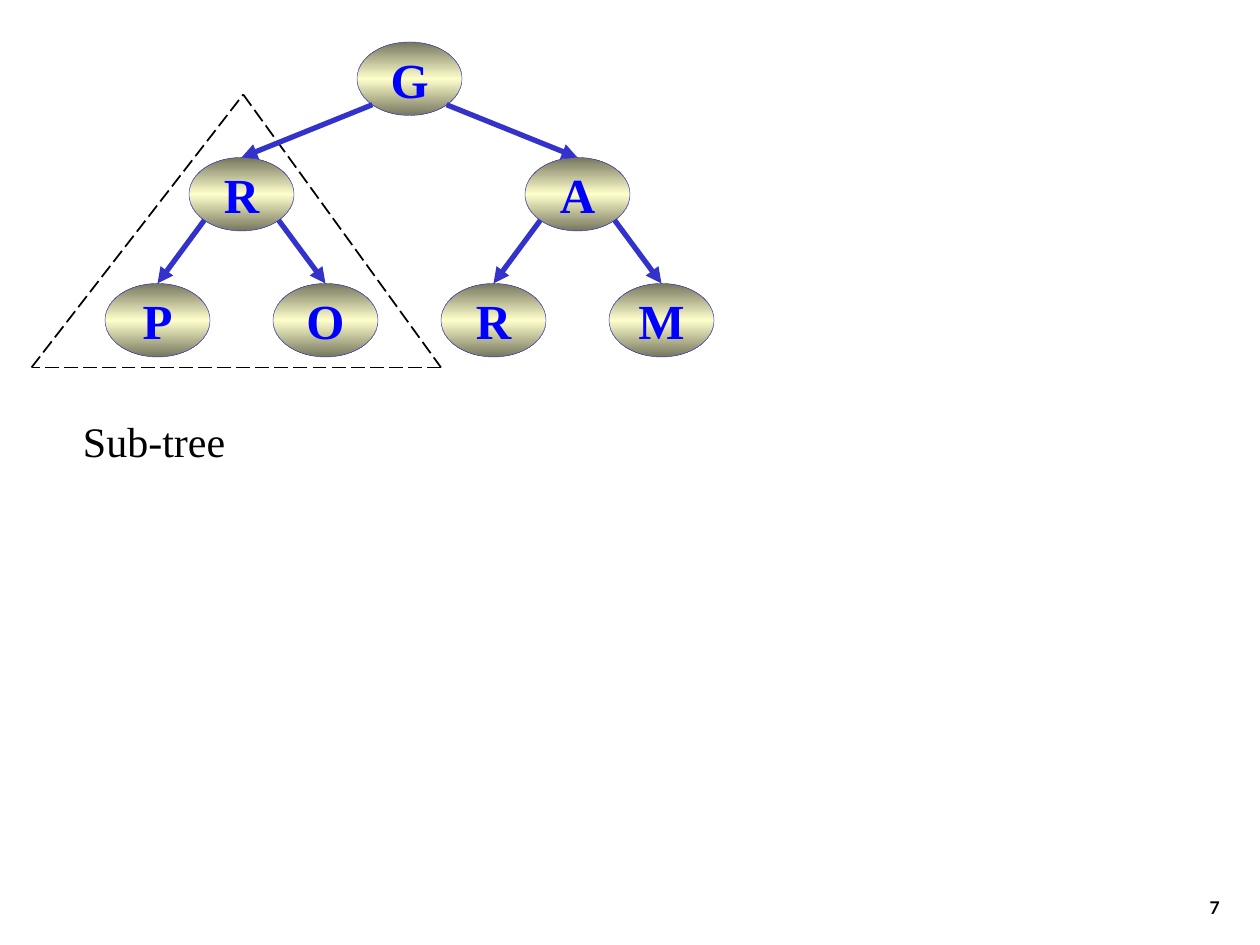
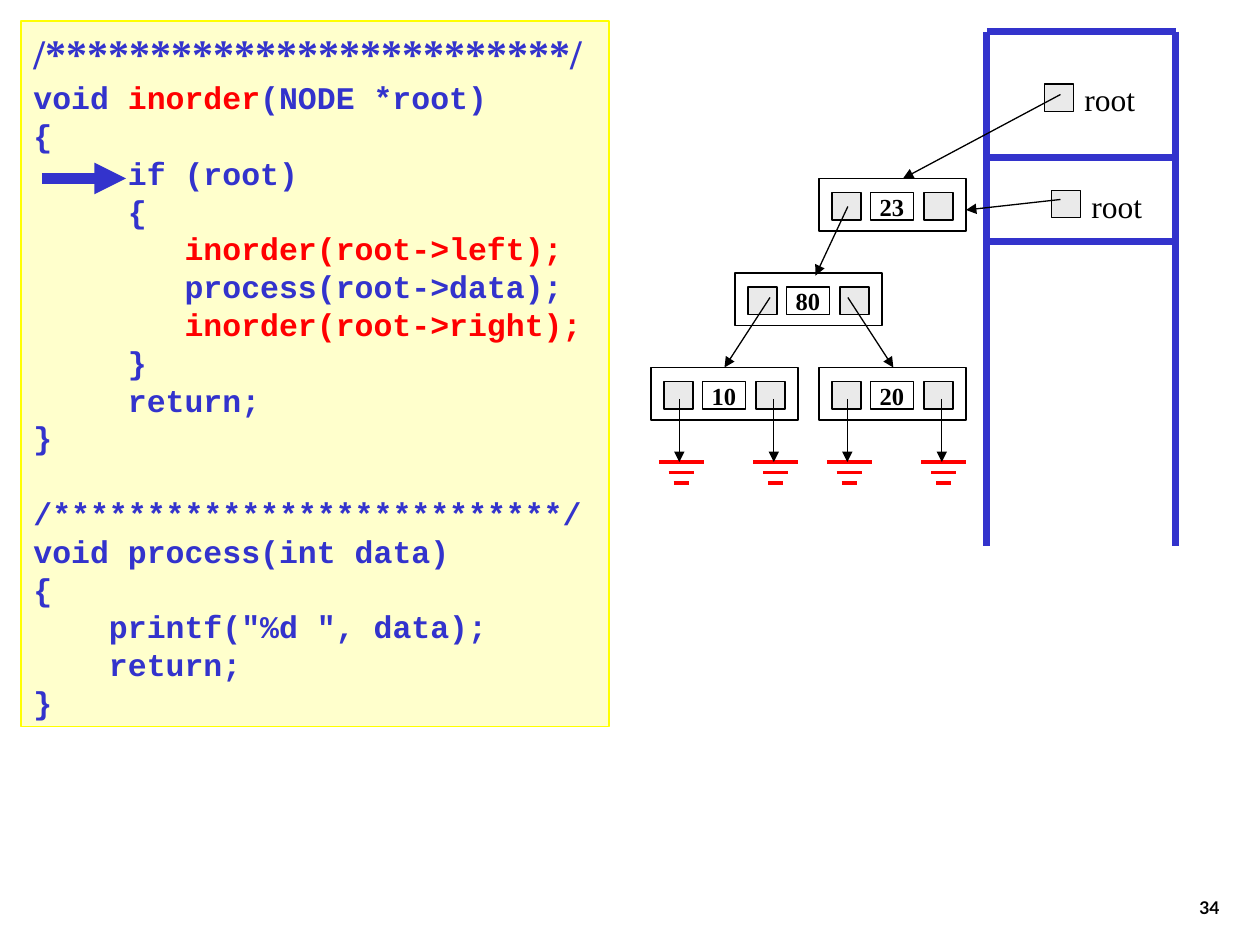
"""Builds two slides on binary trees: a sub-tree and an inorder traversal."""
from copy import deepcopy
from math import sqrt

from lxml.etree import SubElement
from pptx import Presentation
from pptx.dml.color import RGBColor
from pptx.enum.dml import MSO_LINE
from pptx.enum.shapes import MSO_CONNECTOR, MSO_SHAPE
from pptx.enum.text import MSO_ANCHOR, PP_ALIGN
from pptx.oxml.ns import qn
from pptx.util import Pt

COLORS = {
    "black": "000000", "white": "FFFFFF", "gray": "EAEAEA", "red": "FF0000",
    "blue": "3333CC", "letter": "0000FF", "cream": "FFFFCC",
    "olive": "76765E", "yellow": "FFFF00",
}
SERIF, MONO, SANS = "Times New Roman", "Courier New", "Lato"

OVAL_W, OVAL_H = 60, 42
LETTERS = [
    ("G", 234, 45), ("R", 138, 111), ("O", 186, 183), ("P", 90, 183),
    ("A", 330, 111), ("M", 378, 183), ("R", 282, 183),
]
BRANCHES = [(0, 1), (0, 4), (1, 3), (1, 2), (4, 6), (4, 5)]
SUBTREE = [(18, 210), (139, 54), (252, 210)]

BANNER = "/*************************/"
CODE = [
    [("void ", "blue"), ("inorder", "red"), ("(NODE *root)", "blue")],
    [("{", "blue")],
    [("     if (root)", "blue")],
    [("     {", "blue")],
    [("        ", "blue"), ("inorder(root->left);", "red")],
    [("        process(root->data);", "blue")],
    [("        ", "blue"), ("inorder(root->right);", "red")],
    [("     }", "blue")],
    [("     return;", "blue")],
    [("}", "blue")],
    [("/***************************/", "blue")],
    [("void process(int data)", "blue")],
    [("{", "blue")],
    [('    printf("%d ", data);', "blue")],
    [("    return;", "blue")],
    [("}", "blue")],
]
PROCESS_START = 10
BANNER_PITCH, CODE_PITCH = 29.2, 21.6

STACK_LEFT, STACK_RIGHT, STACK_TOP, STACK_BOTTOM = 564, 672, 18, 312
STACK_FLOORS = [STACK_TOP, 90, 138]
ROOTS = [(597, 48), (601, 108.7)]
RECORDS = [("10", 372, 210), ("80", 420, 156), ("23", 468, 102), ("20", 468, 210)]
RECORD_W, RECORD_H = 84, 30
CELL_W, CELL_H, CELL_TOP = 16.6, 15.8, 8
LINKS = [
    ((606, 54), (516, 102)), ((606, 114), (552, 120)),
    ((484.5, 118), (466, 157.5)),
    ((440, 170), (414, 210)), ((484.5, 170), (510.5, 210)),
]
NULL_OFFSETS = [16.2, 70.2]
GROUND_BARS = [(264, 25.6), (270, 14.4), (276, 8.6)]


def color(name):
    return RGBColor.from_string(COLORS[name])


def add_span(para, text, size, font, ink, bold=False):
    span = para.add_run()
    span.text = text
    span.font.size = Pt(size)
    span.font.name = font
    span.font.bold = bold
    span.font.color.rgb = color(ink)


def add_label(page, text, left, top, width, height, size, font, bold=False):
    box = page.shapes.add_textbox(Pt(left), Pt(top), Pt(width), Pt(height))
    add_span(box.text_frame.paragraphs[0], text, size, font, "black", bold)
    return box


def add_page_number(page, number):
    box = add_label(page, number, 554, 492, 150, 36, 10, SANS, True)
    box.text_frame.word_wrap = True
    box.text_frame.vertical_anchor = MSO_ANCHOR.BOTTOM
    box.text_frame.paragraphs[0].alignment = PP_ALIGN.RIGHT


def add_block(page, left, top, width, height, fill, outline="black",
              weight=0.75, kind=MSO_SHAPE.RECTANGLE):
    block = page.shapes.add_shape(kind, Pt(left), Pt(top), Pt(width), Pt(height))
    block.shadow.inherit = False
    block.fill.solid()
    block.fill.fore_color.rgb = color(fill)
    block.line.color.rgb = color(outline)
    block.line.width = Pt(weight)
    return block


def add_centered(block, text, size, ink):
    frame = block.text_frame
    frame.word_wrap = False
    frame.vertical_anchor = MSO_ANCHOR.MIDDLE
    frame.paragraphs[0].alignment = PP_ALIGN.CENTER
    add_span(frame.paragraphs[0], text, size, SERIF, ink, True)


def add_line(page, start, end, ink, weight, arrow=False, dashed=False):
    line = page.shapes.add_connector(
        MSO_CONNECTOR.STRAIGHT, *(Pt(value) for value in (*start, *end)))
    line.line.color.rgb = color(ink)
    line.line.width = Pt(weight)
    if dashed:
        line.line.dash_style = MSO_LINE.LONG_DASH
    properties = line.element.spPr
    if arrow:
        SubElement(properties.find(qn("a:ln")), qn("a:tailEnd"), type="triangle")
    SubElement(properties, qn("a:effectLst"))


def add_oval(page, letter, x, y):
    oval = add_block(page, x - OVAL_W / 2, y - OVAL_H / 2, OVAL_W, OVAL_H,
                     "cream", "blue", 0.25, MSO_SHAPE.OVAL)
    oval.fill.gradient()
    oval.fill.gradient_angle = 90
    stops = oval.element.spPr.find(qn("a:gradFill")).find(qn("a:gsLst"))
    stops.insert(1, deepcopy(stops[0]))
    shades = [(0, "olive"), (0.5, "cream"), (1, "olive")]
    for stop, (position, shade) in zip(oval.fill.gradient_stops, shades):
        stop.position = position
        stop.color.rgb = color(shade)
    add_centered(oval, letter, 28, "letter")


def build_subtree(page):
    add_page_number(page, "7")
    for index, corner in enumerate(SUBTREE):
        add_line(page, SUBTREE[index - 1], corner, "black", 1, dashed=True)
    label = add_label(page, "Sub-tree", 40.3, 234, 101.5, 36, 24, SERIF)
    label.text_frame.word_wrap = False
    for node in LETTERS:
        add_oval(page, *node)
    reach_x, reach_y = OVAL_W / 2 / sqrt(2), OVAL_H / 2 / sqrt(2)
    for parent, child in BRANCHES:
        _, x, y = LETTERS[parent]
        _, child_x, child_y = LETTERS[child]
        side = 1 if child_x > x else -1
        add_line(page, (x + side * reach_x, y + reach_y),
                 (child_x, child_y - OVAL_H / 2), "blue", 3, arrow=True)


def add_code(page):
    panel = add_block(page, 12, 12, 336, 403.2, "cream", "yellow")
    frame = panel.text_frame
    frame.word_wrap = True
    frame.vertical_anchor = MSO_ANCHOR.TOP
    para = frame.paragraphs[0]
    para.alignment = PP_ALIGN.LEFT
    para.line_spacing = Pt(BANNER_PITCH)
    add_span(para, BANNER, 24, SERIF, "blue", True)
    for index, spans in enumerate(CODE):
        para = frame.add_paragraph()
        para.alignment = PP_ALIGN.LEFT
        para.line_spacing = Pt(CODE_PITCH)
        if index == PROCESS_START:
            para.space_before = Pt(CODE_PITCH)
        for text, ink in spans:
            add_span(para, text, 18, MONO, ink, True)


def add_record(page, value, left, top):
    add_block(page, left, top, RECORD_W, RECORD_H, "white")
    for offset in (7.5, 60):
        add_block(page, left + offset, top + CELL_TOP, CELL_W, CELL_H, "gray")
    data = add_block(page, left + 29.4, top + CELL_TOP, 24.5, CELL_H, "white")
    add_centered(data, value, 14, "black")


def add_null(page, x, top):
    for y, width in GROUND_BARS:
        middle = x + 1.1
        add_line(page, (middle - width / 2, y), (middle + width / 2, y), "red", 2)
    add_line(page, (x, top + 18), (x, GROUND_BARS[0][0]), "black", 0.75, arrow=True)


def build_traversal(page):
    add_page_number(page, "34")
    add_code(page)
    for y in STACK_FLOORS:
        add_line(page, (STACK_LEFT, y), (STACK_RIGHT, y), "blue", 4)
    for x in (STACK_LEFT, STACK_RIGHT):
        add_line(page, (x, STACK_TOP), (x, STACK_BOTTOM), "blue", 4)
    add_line(page, (24, 102), (72, 102), "blue", 6, arrow=True)
    for left, top in ROOTS:
        label = add_label(page, "root", left + 15.6, top - 5.6, 43.2, 28.8, 18, SERIF)
        label.text_frame.word_wrap = False
        add_block(page, left, top, CELL_W, CELL_H, "gray")
    for record in RECORDS:
        add_record(page, *record)
    for start, end in LINKS:
        add_line(page, start, end, "black", 0.75, arrow=True)
    lowest = max(top for _, _, top in RECORDS)
    for _, left, top in RECORDS:
        if top == lowest:
            for offset in NULL_OFFSETS:
                add_null(page, left + offset, top)


def main():
    deck = Presentation()
    deck.slide_width, deck.slide_height = Pt(720), Pt(540)
    for build in (build_subtree, build_traversal):
        build(deck.slides.add_slide(deck.slide_layouts[6]))
    deck.save("out.pptx")


if __name__ == "__main__":
    main()
